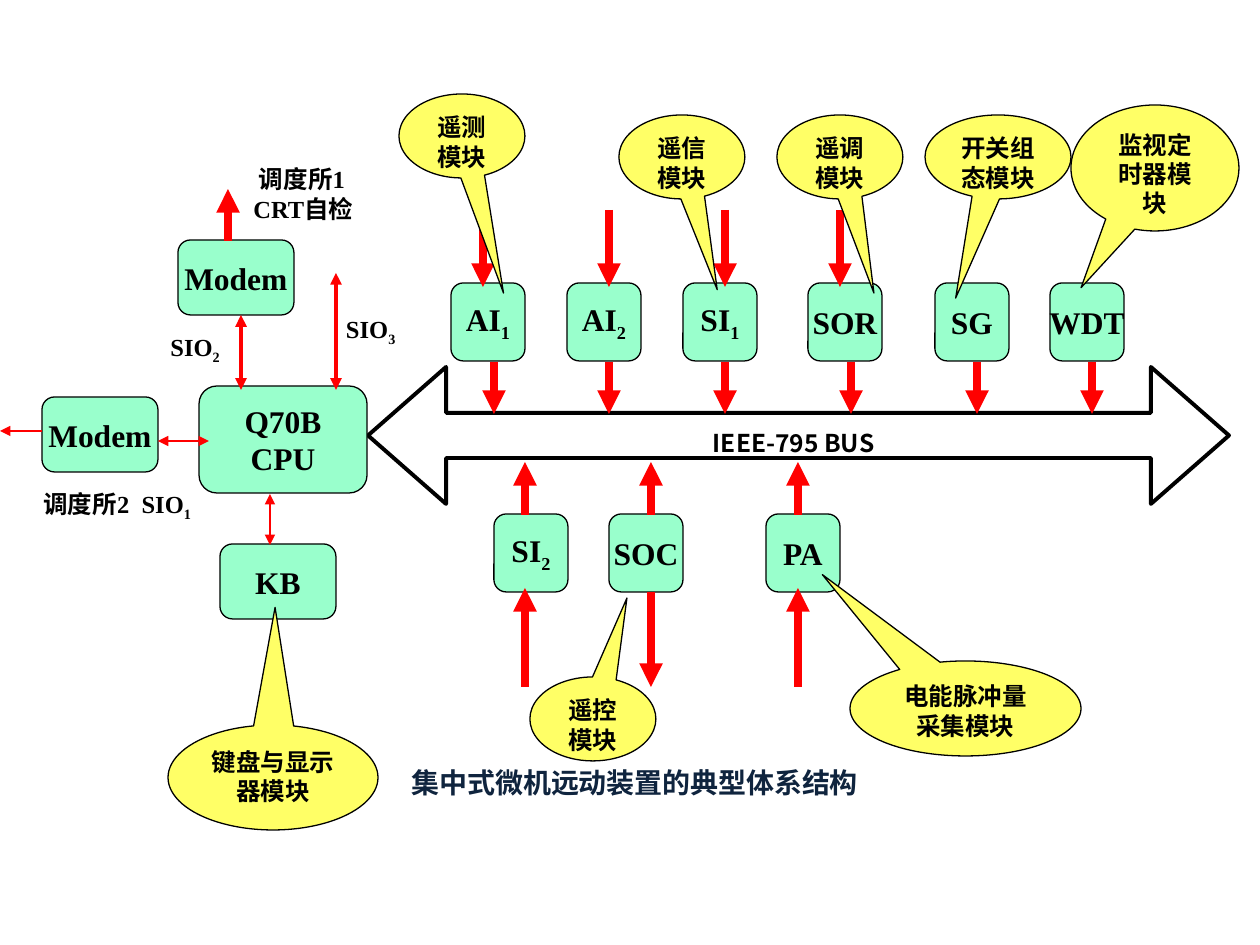
import lxml.etree
import pptx
import pptx.util
import pptx.dml.color
import pptx.enum.shapes
import pptx.enum.text
import pptx.oxml.ns

PX = 914400 / 126
COLORS = {"module": "99FFCC", "callout": "FFFF66", "bus": "FFFFFF",
          "outline": "000000", "signal": "FF0000", "text": "000000", "title": "0F243E"}
LATIN = "Times New Roman"
CJK = "Noto Sans CJK SC"
TITLE_FONT = "Noto Sans CJK JP"
SHAPES = pptx.enum.shapes.MSO_SHAPE
ANCHOR = pptx.enum.text.MSO_ANCHOR
ALIGN = pptx.enum.text.PP_ALIGN
qn = pptx.oxml.ns.qn

deck = pptx.Presentation()
deck.slide_width = round(1260 * PX)
deck.slide_height = round(945 * PX)
slide = deck.slides.add_slide(deck.slide_layouts[5])


def write(frame, text, size, latin=LATIN, asian=CJK, color="text", align=ALIGN.CENTER):
    for i, line in enumerate(text.split("\n")):
        paragraph = frame.paragraphs[0] if i == 0 else frame.add_paragraph()
        paragraph.alignment = align
        for level, part in enumerate(line.split("_")):
            run = paragraph.add_run()
            run.text = part
            run.font.size = pptx.util.Pt(size)
            run.font.bold = True
            run.font.name = latin
            run.font.color.rgb = pptx.dml.color.RGBColor.from_string(COLORS[color])
            properties = run._r.get_or_add_rPr()
            lxml.etree.SubElement(properties, qn("a:ea")).set("typeface", asian)
            if level:
                properties.set("baseline", "-25000")


def add_block(preset, box, fill, width, adjustments=()):
    block = slide.shapes.add_shape(preset, *[round(v * PX) for v in box])
    block.shadow.inherit = False
    block.fill.solid()
    block.fill.fore_color.rgb = pptx.dml.color.RGBColor.from_string(COLORS[fill])
    block.line.color.rgb = pptx.dml.color.RGBColor.from_string(COLORS["outline"])
    block.line.width = pptx.util.Pt(width)
    for i, value in enumerate(adjustments):
        block.adjustments[i] = value
    return block


title = slide.shapes.title
title.left, title.top, title.width, title.height = [round(v * PX) for v in (399, 746, 504, 73)]
title.text_frame.vertical_anchor = ANCHOR.MIDDLE
write(title.text_frame, "集中式微机远动装置的典型体系结构", 16, TITLE_FONT, TITLE_FONT, "title", ALIGN.LEFT)

bus = add_block(SHAPES.LEFT_RIGHT_ARROW, (368, 367, 861, 137), "bus", 2.25, (0.33, 0.57))
bus.text_frame.word_wrap = False
bus.text_frame.vertical_anchor = ANCHOR.MIDDLE
write(bus.text_frame, "IEEE-795 BUS", 14, CJK)
bus_spacer = bus.text_frame.paragraphs[0].add_run()
bus_spacer.text = " "
bus_spacer.font.size = pptx.util.Pt(24)

modules = [("Q70B\nCPU", 199, 386, 168, 107), ("Modem", 178, 240, 116, 75),
           ("Modem", 42, 397, 116, 75), ("KB", 220, 544, 116, 75)]
signals = [(336, 273, 336, 390, 2.25, True), (241, 315, 241, 390, 2.25, True),
           (228, 241, 228, 189, 4.5, False), (209, 441, 158, 441, 1, True),
           (42, 431, 0, 431, 1, False), (270, 494, 270, 545, 1.5, True)]
for name, left, x in [("AI_1", 451, 494), ("AI_2", 567, 609), ("SI_1", 683, 725),
                      ("SOR", 808, 851), ("SG", 935, 977), ("WDT", 1050, 1092)]:
    modules.append((name, left, 283, 74, 78))
    signals.append((x, 362, x, 414, 4.5, False))
for x in (483, 609, 725, 840):
    signals.append((x, 210, x, 287, 4.5, False))
for name, left, x, start, end in [("SI_2", 494, 525, 687, 588), ("SOC", 609, 651, 592, 687),
                                  ("PA", 766, 798, 687, 588)]:
    modules.append((name, left, 514, 74, 78))
    signals += [(x, start, x, end, 4.5, False), (x, 515, x, 462, 4.5, False)]

for name, *box in modules:
    module = add_block(SHAPES.FLOWCHART_ALTERNATE_PROCESS, box, "module", 0.75)
    module.text_frame.word_wrap = False
    module.text_frame.vertical_anchor = ANCHOR.MIDDLE
    write(module.text_frame, name, 18)

for x1, y1, x2, y2, width, two_way in signals:
    signal = slide.shapes.add_connector(pptx.enum.shapes.MSO_CONNECTOR.STRAIGHT,
                                        *[round(v * PX) for v in (x1, y1, x2, y2)])
    signal.line.color.rgb = pptx.dml.color.RGBColor.from_string(COLORS["signal"])
    signal.line.width = pptx.util.Pt(width)
    stroke = signal.line._get_or_add_ln()
    for end in ("a:headEnd", "a:tailEnd") if two_way else ("a:tailEnd",):
        lxml.etree.SubElement(stroke, qn(end)).set("type", "triangle")
    lxml.etree.SubElement(signal._element.spPr, qn("a:effectLst"))

for text, left, top, width, height in [("SIO_2", 158, 326, 95, 42),
                                       ("调度所2  SIO_1", 31, 483, 179, 42),
                                       (" 调度所1\nCRT自检", 241, 158, 179, 72),
                                       ("SIO_3", 346, 294, 73, 53)]:
    label = slide.shapes.add_textbox(*[round(v * PX) for v in (left, top, width, height)])
    label.text_frame.word_wrap = True
    write(label.text_frame, text, 14, align=ALIGN.LEFT)
    if text == "SIO_3":
        label.text_frame.vertical_anchor = ANCHOR.BOTTOM
        label.text_frame.margin_left = label.text_frame.margin_right = 0
        label.text_frame.margin_bottom = 0

for text, box, tip in [("遥测模块", (399, 94, 126, 84), (0.33, 1.87)),
                       ("遥信模块", (619, 115, 126, 84), (0.28, 1.58)),
                       ("遥调模块", (777, 115, 126, 84), (0.27, 1.62)),
                       ("开关组态模块", (925, 115, 146, 84), (-0.29, 1.68)),
                       ("监视定时器模块", (1071, 105, 168, 126), (-0.44, 0.95)),
                       ("遥控模块", (530, 677, 126, 84), (0.27, -1.44)),
                       ("电能脉冲量采集模块", (850, 661, 231, 95), (-0.62, -1.41)),
                       ("键盘与显示器模块", (168, 725, 210, 105), (0.01, -1.62))]:
    callout = add_block(SHAPES.OVAL_CALLOUT, box, "callout", 0.75, tip)
    callout.text_frame.word_wrap = True
    callout.text_frame.vertical_anchor = ANCHOR.TOP
    write(callout.text_frame, text, 14, CJK)

deck.save("out.pptx")
